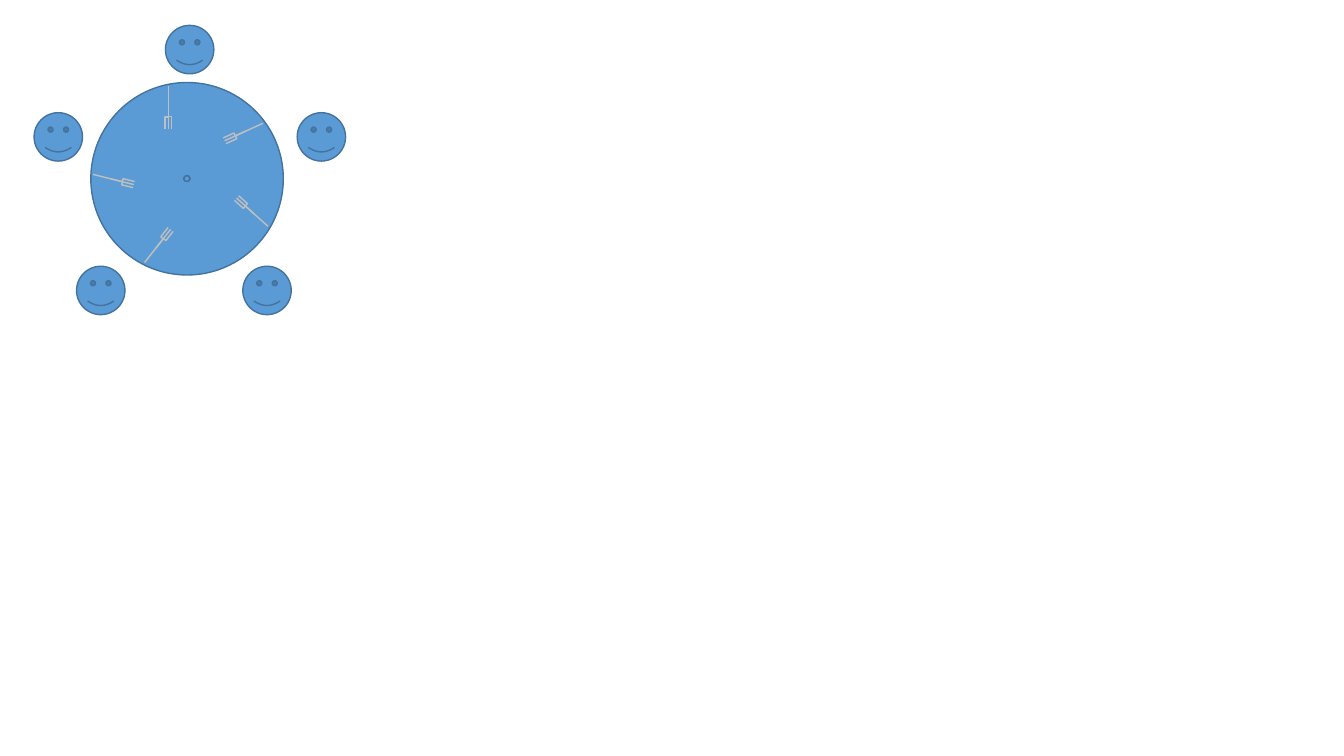
"""Draw five dining philosophers around a table with five forks."""
from math import cos, radians, sin

from lxml import etree
from pptx import Presentation
from pptx.dml.color import RGBColor
from pptx.enum import shapes
from pptx.oxml.ns import qn
from pptx.util import Cm, Pt

BLUE = RGBColor(0x5B, 0x9B, 0xD5)
DARK_BLUE = RGBColor(0x43, 0x73, 0x9E)
GREY = RGBColor(0xBF, 0xBF, 0xBF)

TABLE = (2.29, 2.08, 4.85)
SEAT_SIZE = 1.22
SEATS = [(4.17, 0.64), (7.49, 2.84), (0.86, 2.84), (6.12, 6.71), (1.93, 6.71)]
HUB = (4.71, 4.5)
HUB_SIZE = 0.14
FORK_ANGLES = [0, 65.4, 131.9, 218.2, 284]
FORK_END = 3.24
STEM_X = 4.24
TINE_TOP = 2.94
PRONGS = [
    {"top": 2.64, "end_x": 4.32, "bend": 50000},
    {"top": 2.18, "end_x": 4.16, "bend": 72200},
]


def add_round(parent, kind, left, top, size):
    shape = parent.add_shape(kind, Cm(left), Cm(top), Cm(size), Cm(size))
    shape.shadow.inherit = False
    shape.fill.solid()
    shape.fill.fore_color.rgb = BLUE
    shape.line.color.rgb = DARK_BLUE
    shape.line.width = Pt(1)


def add_line(parent, kind, start, end):
    line = parent.add_connector(kind, *(Cm(value) for value in start + end))
    line.line.color.rgb = GREY
    line.line.width = Pt(1)
    etree.SubElement(line._element.spPr, qn("a:effectLst"))
    return line


def add_prong(parent, top, end_x, bend):
    middle_x, middle_y = (STEM_X + end_x) / 2, (top + FORK_END) / 2
    half_length, half_gap = (FORK_END - top) / 2, (STEM_X - end_x) / 2
    prong = add_line(
        parent, shapes.MSO_CONNECTOR.ELBOW,
        (middle_x - half_length, middle_y - half_gap),
        (middle_x + half_length, middle_y + half_gap),
    )
    properties = prong._element.spPr
    properties.find(qn("a:xfrm")).set("rot", str(90 * 60000))
    guides = properties.find(qn("a:prstGeom")).find(qn("a:avLst"))
    etree.SubElement(guides, qn("a:gd"), name="adj1", fmla=f"val {bend}")


def add_fork(slide, angle):
    group = slide.shapes.add_group_shape()
    hub_left, hub_top = (value - HUB_SIZE / 2 for value in HUB)
    add_round(group.shapes, shapes.MSO_SHAPE.OVAL, hub_left, hub_top, HUB_SIZE)
    for prong in PRONGS:
        add_prong(group.shapes, **prong)
    add_line(group.shapes, shapes.MSO_CONNECTOR.STRAIGHT,
             (STEM_X, TINE_TOP), (STEM_X, FORK_END))
    turn = radians(angle)
    hub_x, hub_y = (Cm(value) for value in HUB)
    across = group.left + group.width / 2 - hub_x
    down = group.top + group.height / 2 - hub_y
    group.left = round(hub_x + across * cos(turn) - down * sin(turn) - group.width / 2)
    group.top = round(hub_y + across * sin(turn) + down * cos(turn) - group.height / 2)
    group.rotation = angle


presentation = Presentation()
presentation.slide_width, presentation.slide_height = Cm(33.87), Cm(19.05)
slide = presentation.slides.add_slide(presentation.slide_layouts[6])

add_round(slide.shapes, shapes.MSO_SHAPE.OVAL, *TABLE)
for seat in SEATS:
    add_round(slide.shapes, shapes.MSO_SHAPE.SMILEY_FACE, *seat, SEAT_SIZE)
for angle in FORK_ANGLES:
    add_fork(slide, angle)

presentation.save("out.pptx")
